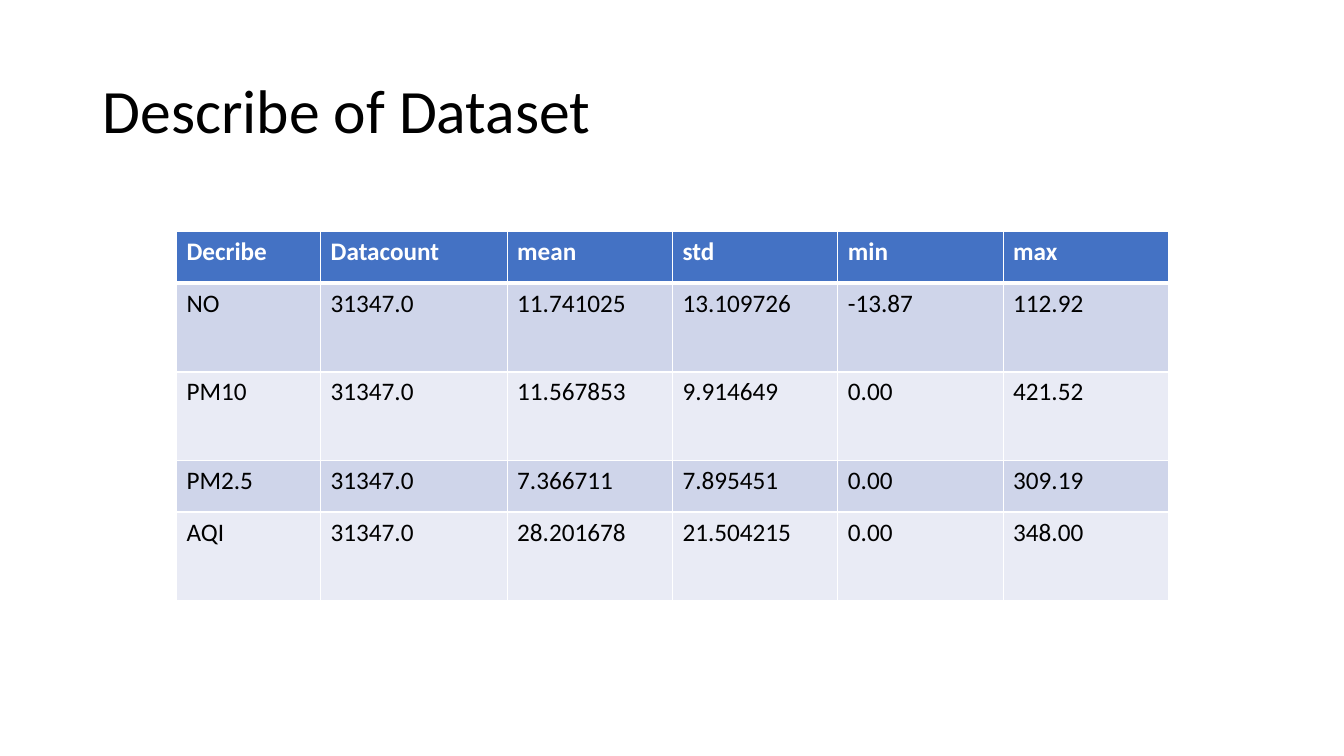
"""Build the slide that describes the dataset in a statistics table."""
import pptx
import pptx.dml.color
import pptx.enum.text
import pptx.oxml.ns
import pptx.util
from lxml import etree

HEADING = "Describe of Dataset"
STATISTICS = [
    ("Decribe", "Datacount", "mean", "std", "min", "max"),
    ("NO", "31347.0", "11.741025", "13.109726", "-13.87", "112.92"),
    ("PM10", "31347.0", "11.567853", "9.914649", "0.00", "421.52"),
    ("PM2.5", "31347.0", "7.366711", "7.895451", "0.00", "309.19"),
    ("AQI", "31347.0", "28.201678", "21.504215", "0.00", "348.00"),
]
COLORS = {"header": "4472C4", "odd": "CFD5EA", "even": "E9EBF5",
          "text": "000000", "white": "FFFFFF"}
FONT = "Calibri"
SLIDE_SIZE = (13.33, 7.5)
HEADING_BOX = (0.92, 0.4, 11.5, 1.45)
TABLE_CORNER = (1.75, 2.3)
COLUMNS = [1.43, 1.85] + [1.64] * 4
SHORT, TALL = 0.51, 0.88
ROWS = [SHORT, TALL, TALL, SHORT, TALL]


def inches(lengths):
    return [pptx.util.Inches(length) for length in lengths]


def rgb(name):
    return pptx.dml.color.RGBColor.from_string(COLORS[name])


def add_run(paragraph, words, size, color, bold=False):
    run = paragraph.add_run()
    run.text = words
    run.font.name = FONT
    run.font.size = pptx.util.Pt(size)
    run.font.bold = bold
    run.font.color.rgb = rgb(color)


def add_border(cell, side, width):
    qn = pptx.oxml.ns.qn
    line = etree.SubElement(cell._tc.get_or_add_tcPr(), qn(f"a:ln{side}"),
                            w=str(pptx.util.Pt(width)))
    fill = etree.SubElement(line, qn("a:solidFill"))
    etree.SubElement(fill, qn("a:srgbClr"), val=COLORS["white"])


def add_heading(slide):
    heading = slide.shapes.title
    heading.left, heading.top, heading.width, heading.height = inches(HEADING_BOX)
    heading.text_frame.vertical_anchor = pptx.enum.text.MSO_ANCHOR.MIDDLE
    paragraph = heading.text_frame.paragraphs[0]
    paragraph.alignment = pptx.enum.text.PP_ALIGN.LEFT
    paragraph.line_spacing = 0.9
    add_run(paragraph, HEADING, 44, "text")


def add_statistics(slide):
    extent = inches((sum(COLUMNS), sum(ROWS)))
    table = slide.shapes.add_table(len(ROWS), len(COLUMNS),
                                   *inches(TABLE_CORNER), *extent).table
    for column, width in zip(table.columns, inches(COLUMNS)):
        column.width = width
    for row, height in zip(table.rows, inches(ROWS)):
        row.height = height
    for r, values in enumerate(STATISTICS):
        header = r == 0
        band = "header" if header else "odd" if r % 2 else "even"
        for c, value in enumerate(values):
            cell = table.cell(r, c)
            for side in "LRTB":
                heavy = (side == "B" and r == 0) or (side == "T" and r == 1)
                add_border(cell, side, 3 if heavy else 1)
            cell.fill.solid()
            cell.fill.fore_color.rgb = rgb(band)
            add_run(cell.text_frame.paragraphs[0], value, 18,
                    "white" if header else "text", header)


def main():
    deck = pptx.Presentation()
    deck.slide_width, deck.slide_height = inches(SLIDE_SIZE)
    slide = deck.slides.add_slide(deck.slide_layouts.get_by_name("Title Only"))
    add_heading(slide)
    add_statistics(slide)
    deck.save("out.pptx")


if __name__ == "__main__":
    main()
